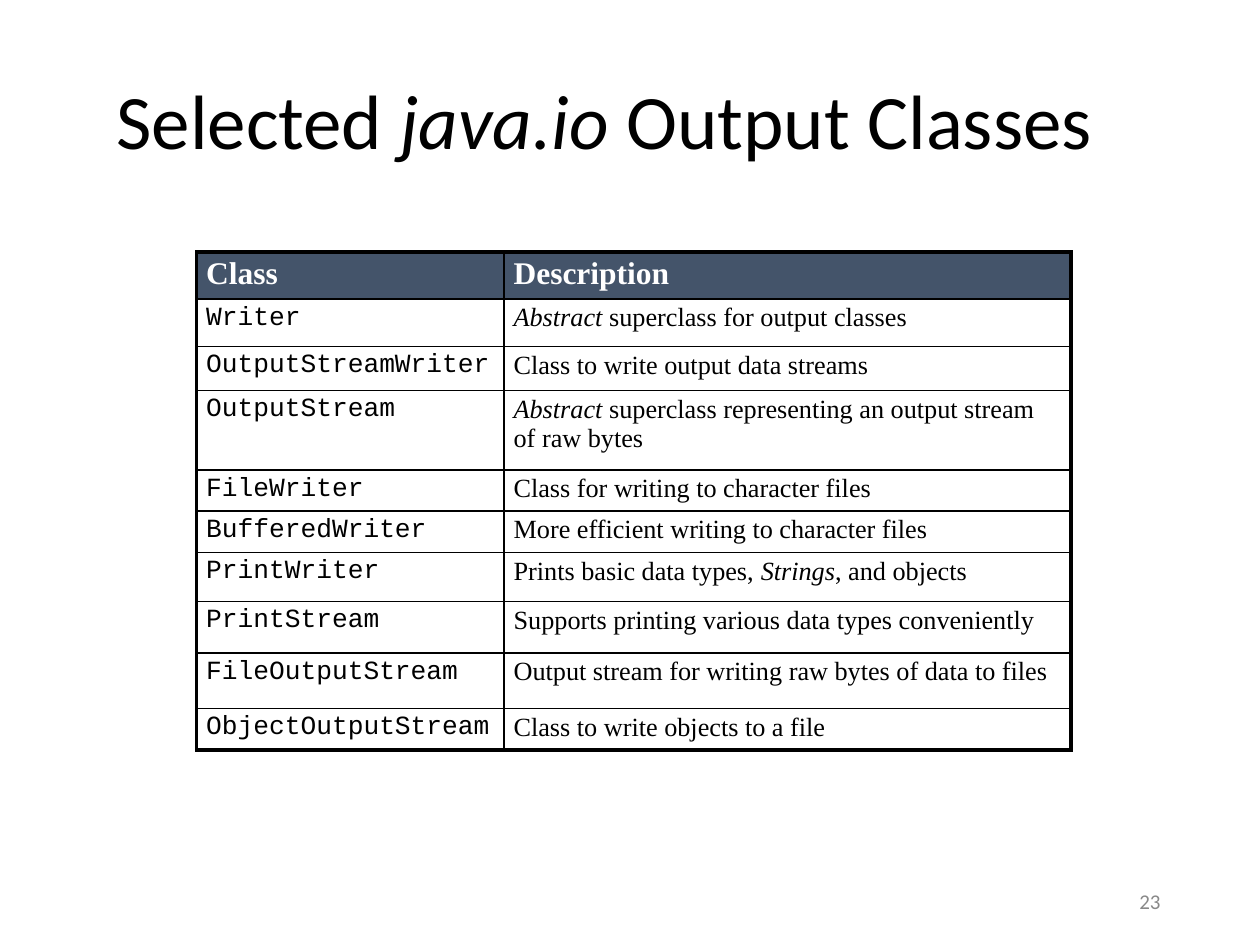
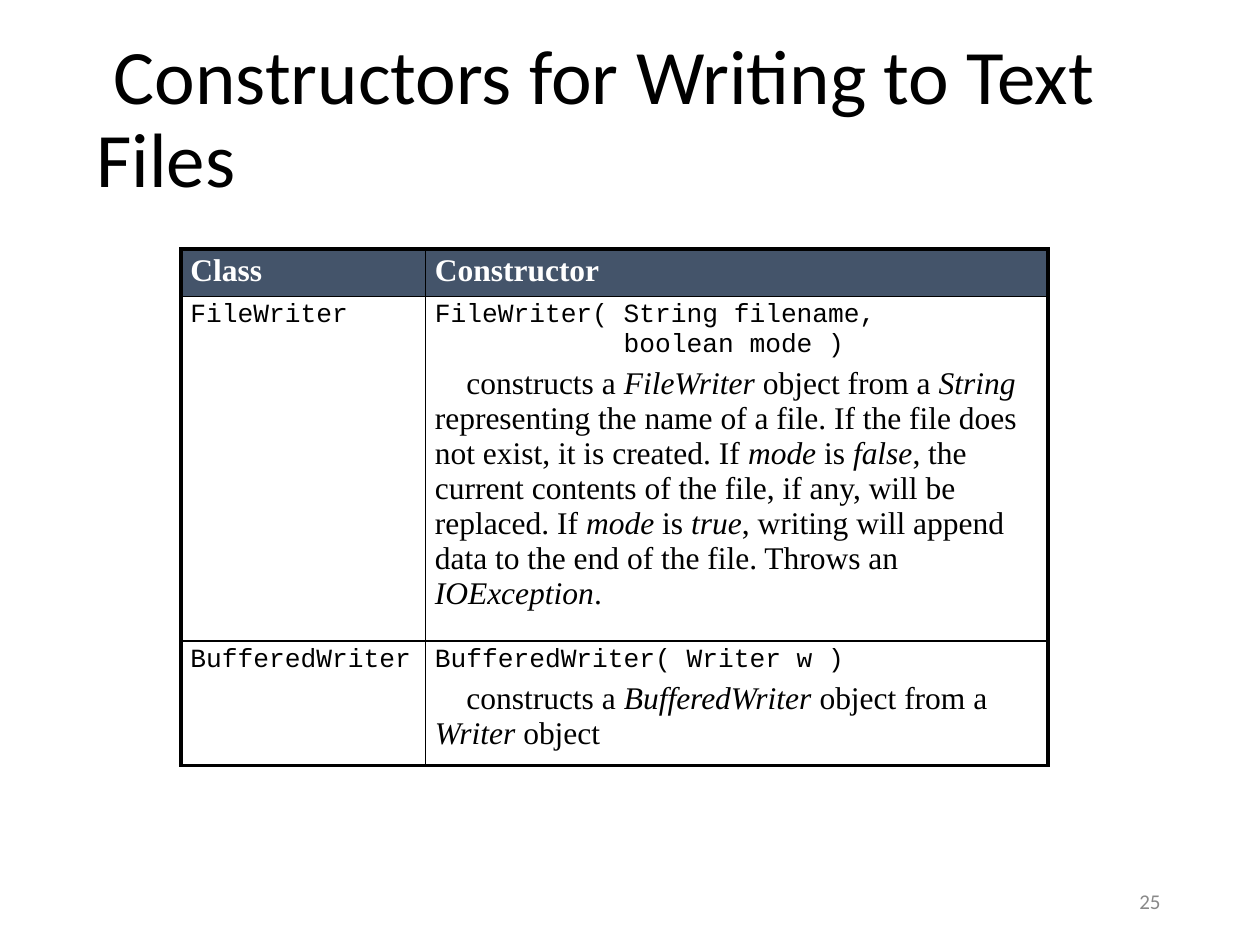
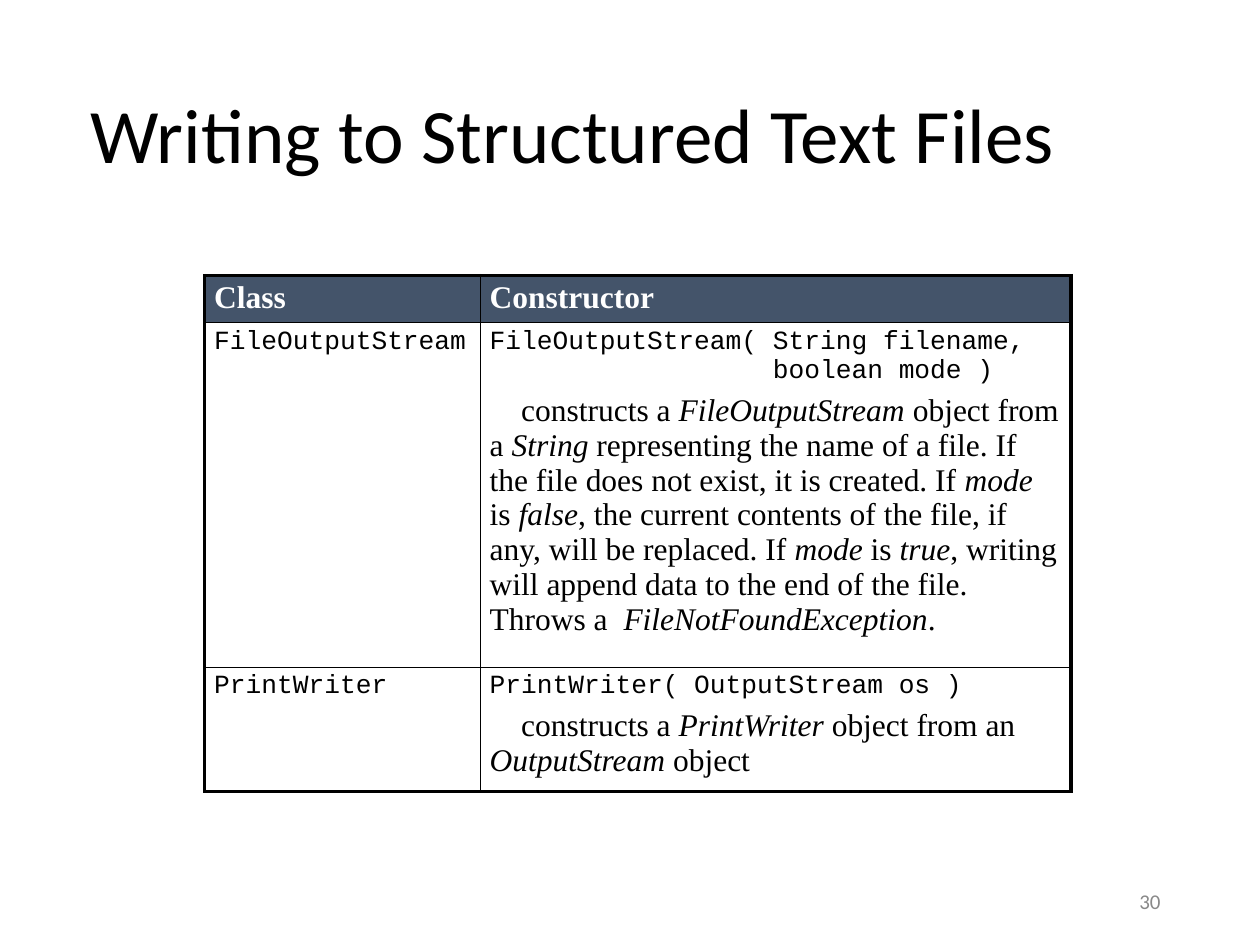
import pptx
import pptx.util
import pptx.dml.color
import pptx.enum.text
from lxml import etree

RGB = pptx.dml.color.RGBColor
BLACK = RGB(0, 0, 0)
WHITE = RGB(255, 255, 255)
SLATE = RGB(0x44, 0x54, 0x6A)
GRAY = RGB(0x89, 0x89, 0x89)
SANS, SERIF, MONO = "Calibri", "Times New Roman", "Courier New"
ALIGN = pptx.enum.text.PP_ALIGN
MIDDLE = pptx.enum.text.MSO_ANCHOR.MIDDLE
THIN, THICK = 1, 2.25

FILE = (
    "constructs a *{}* object from a *String* representing the name of a file. "
    "If the file does not exist, it is created. If *mode* is *false*, the current "
    "contents of the file, if any, will be replaced. If *mode* is *true*, writing "
    "will append data to the end of the file. Throws {}*{}*."
)
WRAP = "constructs a *{}* object from {} *{}* object"

NUMBER = (70.6, 92.67, 22.5, 5.33)
SLIDES = [
    {
        "title": "Selected *java.io* Output Classes",
        "area": (8.25, 6.53, 84.9, 13.2),
        "indent": 0,
        "number": "23",
        "spot": (15.62, 26.65),
        "cols": (24.4, 45),
        "rows": (5, 5, 4.67, 8.4, 4.37, 4.37, 5.2, 5.47, 5.87, 4.37),
        "head": ("Class", "Description"),
        "cells": [
            ("Writer", "*Abstract* superclass for output classes"),
            ("OutputStreamWriter", "Class to write output data streams"),
            ("OutputStream", "*Abstract *superclass representing an output stream of raw bytes"),
            ("FileWriter", "Class for writing to character files"),
            ("BufferedWriter", "More efficient writing to character files"),
            ("PrintWriter", "Prints basic data types, *Strings*, and objects"),
            ("PrintStream", "Supports printing various data types conveniently"),
            ("FileOutputStream", "Output stream for writing raw bytes of data to files"),
            ("ObjectOutputStream", "Class to write objects to a file"),
        ],
    },
    {
        "title": "Constructors for Writing to Text Files",
        "area": (6.65, 4.72, 91.1, 16.27),
        "indent": 10,
        "number": "25",
        "spot": (14.37, 26.35),
        "cols": (19.4, 49.4),
        "rows": (5, 36.5, 13.13),
        "head": ("Class", "Constructor"),
        "cells": [
            ("FileWriter",
             ("FileWriter( String filename,\n            boolean mode )",
              FILE.format("FileWriter", "an ", "IOException"))),
            ("BufferedWriter",
             ("BufferedWriter( Writer w )",
              WRAP.format("BufferedWriter", "a", "Writer"))),
        ],
    },
    {
        "title": "Writing to Structured Text Files",
        "area": (4.8, 8.75, 92.4, 11.73),
        "indent": 10,
        "number": "30",
        "spot": (16.25, 29.15),
        "cols": (21.87, 46.87),
        "rows": (5, 36.5, 13.13),
        "head": ("Class", "Constructor"),
        "cells": [
            ("FileOutputStream",
             ("FileOutputStream( String filename,\n                  boolean mode )",
              FILE.format("FileOutputStream", "a  ", "FileNotFoundException"))),
            ("PrintWriter",
             ("PrintWriter( OutputStream os )",
              WRAP.format("PrintWriter", "an", "OutputStream"))),
        ],
    },
]

deck = pptx.Presentation()
deck.slide_width = pptx.util.Inches(10)
deck.slide_height = pptx.util.Inches(7.5)


def across(share):
    return round(deck.slide_width * share / 100)


def down(share):
    return round(deck.slide_height * share / 100)


def place(area):
    left, top, width, height = area
    return across(left), down(top), across(width), down(height)


def write(frame, text, font=SERIF, size=15, color=BLACK, bold=False,
          align=ALIGN.LEFT, indent=0, before=0, lead=1.0):
    para = frame.add_paragraph() if frame.text else frame.paragraphs[0]
    para.alignment = align
    para.line_spacing = lead
    para.space_before = pptx.util.Pt(before)
    if indent:
        props = para._p.get_or_add_pPr()
        props.set("marL", "0")
        props.set("indent", str(int(pptx.util.Pt(indent))))
    for row, line in enumerate(text.split("\n")):
        if row:
            para.add_line_break()
        for turn, part in enumerate(line.split("*")):
            if part:
                run = para.add_run()
                run.text = part
                run.font.name = font
                run.font.size = pptx.util.Pt(size)
                run.font.color.rgb = color
                run.font.bold = bold
                run.font.italic = turn % 2 == 1


def edge(cell, side, width):
    space = "{http://schemas.openxmlformats.org/drawingml/2006/main}"
    line = etree.SubElement(cell._tc.get_or_add_tcPr(), space + "ln" + side,
                            w=str(int(pptx.util.Pt(width))))
    fill = etree.SubElement(line, space + "solidFill")
    etree.SubElement(fill, space + "srgbClr", val=str(BLACK))


def style(cell, row, col, last):
    cell.margin_left = cell.margin_right = pptx.util.Pt(5.4)
    cell.margin_top = cell.margin_bottom = pptx.util.Pt(2.6)
    outer = {"L": col == 0, "R": col == 1, "T": row == 0, "B": row == last}
    for side, rim in outer.items():
        edge(cell, side, THICK if rim else THIN)
    if row == 0:
        cell.fill.solid()
        cell.fill.fore_color.rgb = SLATE
    else:
        cell.fill.background()


def fill(cell, row, col, text):
    frame = cell.text_frame
    if row == 0:
        write(frame, text, size=18, color=WHITE, bold=True)
    elif isinstance(text, tuple):
        code, note = text
        write(frame, code, font=MONO)
        write(frame, note, size=18, indent=18, before=3.6)
    else:
        write(frame, text, font=SERIF if col else MONO)


def grid(slide, data):
    cols, rows = data["cols"], data["rows"]
    area = (*data["spot"], sum(cols), sum(rows))
    table = slide.shapes.add_table(len(rows), len(cols), *place(area)).table
    table.first_row = table.horz_banding = False
    for col, width in enumerate(cols):
        table.columns[col].width = across(width)
    for row, texts in enumerate([data["head"], *data["cells"]]):
        table.rows[row].height = down(rows[row])
        for col, text in enumerate(texts):
            cell = table.cell(row, col)
            style(cell, row, col, len(rows) - 1)
            fill(cell, row, col, text)


def build(data):
    slide = deck.slides.add_slide(deck.slide_layouts[5])
    title = slide.shapes.title
    title.left, title.top, title.width, title.height = place(data["area"])
    number = slide.shapes.add_textbox(*place(NUMBER))
    for box in (title, number):
        box.text_frame.word_wrap = True
        box.text_frame.auto_size = pptx.enum.text.MSO_AUTO_SIZE.NONE
        box.text_frame.vertical_anchor = MIDDLE
    write(title.text_frame, data["title"], font=SANS, size=44,
          indent=data["indent"], lead=0.9)
    write(number.text_frame, data["number"], font=SANS, size=12,
          color=GRAY, align=ALIGN.RIGHT)
    grid(slide, data)


def main():
    for data in SLIDES:
        build(data)
    deck.save("out.pptx")


if __name__ == "__main__":
    main()
